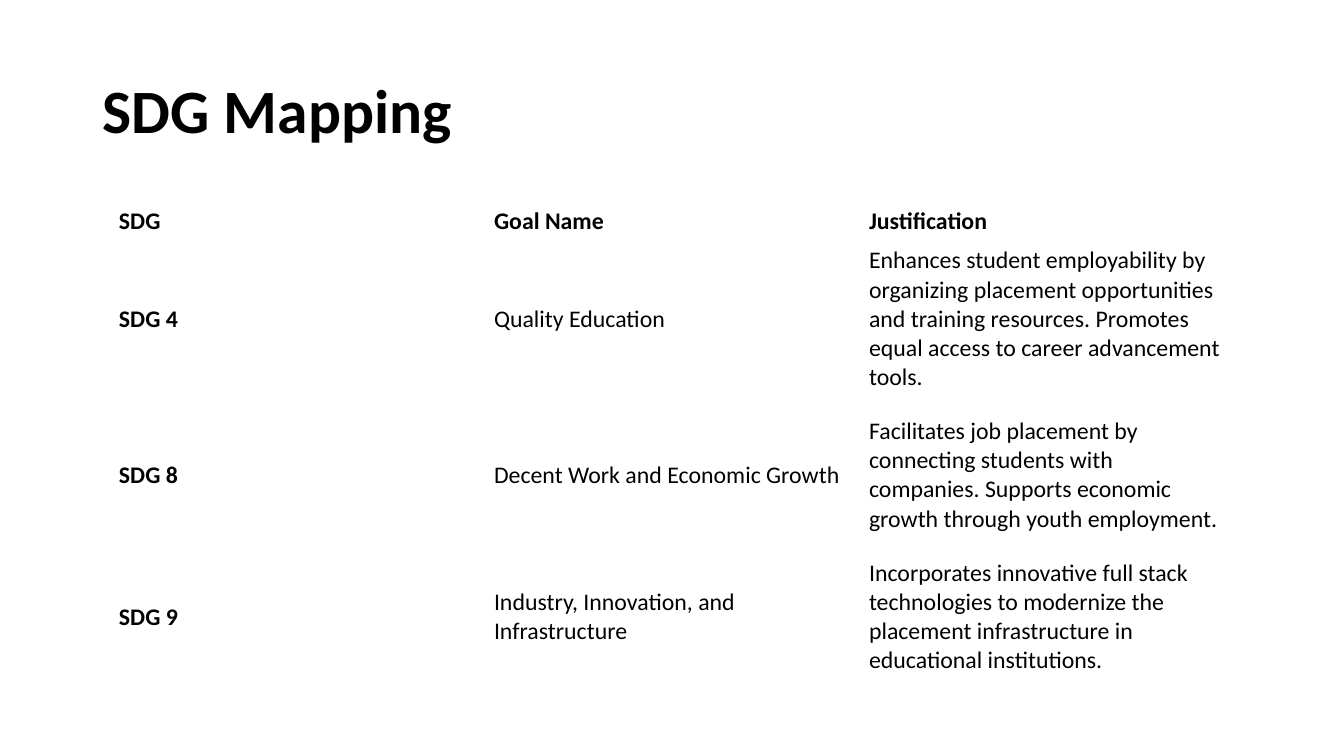
from pptx import Presentation
from pptx.dml.color import RGBColor
from pptx.enum import text
from pptx.util import Inches, Pt

HEADINGS = ["SDG", "Goal Name", "Justification"]
GOALS = [
    ["SDG 4", "Quality Education",
     "Enhances student employability by organizing placement opportunities and "
     "training resources. Promotes equal access to career advancement tools."],
    ["SDG 8", "Decent Work and Economic Growth",
     "Facilitates job placement by connecting students with companies. "
     "Supports economic growth through youth employment."],
    ["SDG 9", "Industry, Innovation, and Infrastructure",
     "Incorporates innovative full stack technologies to modernize the "
     "placement infrastructure in educational institutions."],
]
ROW_HEIGHTS = [0.39, 1.55, 1.55, 1.26]
COLUMN_WIDTH = 3.72


def color(value):
    return RGBColor.from_string(value)


class SlideBuilder:
    font = "Calibri"
    ink = "000000"
    title_size = 44
    table_size = 17

    def __init__(self, deck):
        self.page = deck.slides.add_slide(deck.slide_layouts.get_by_name("Title Only"))

    def add_span(self, para, words, size, bold):
        span = para.add_run()
        span.text = words
        span.font.name = self.font
        span.font.size = Pt(size)
        span.font.bold = bold
        span.font.color.rgb = color(self.ink)

    def add_title(self, words, left, top, width, height):
        box = self.page.shapes.title
        box.left, box.top = Inches(left), Inches(top)
        box.width, box.height = Inches(width), Inches(height)
        frame = box.text_frame
        frame.auto_size = text.MSO_AUTO_SIZE.NONE
        frame.vertical_anchor = text.MSO_ANCHOR.MIDDLE
        para = frame.paragraphs[0]
        para.alignment = text.PP_ALIGN.LEFT
        para.line_spacing = 0.9
        self.add_span(para, words, self.title_size, True)

    def add_table(self, rows, left, top, column_width, row_heights):
        columns = len(rows[0])
        table = self.page.shapes.add_table(
            len(rows), columns, Inches(left), Inches(top),
            Inches(column_width * columns), Inches(sum(row_heights))).table
        table.first_row = table.horz_banding = False
        for column in table.columns:
            column.width = Inches(column_width)
        for row_index, (words_in_row, height) in enumerate(zip(rows, row_heights)):
            table.rows[row_index].height = Inches(height)
            for column_index, words in enumerate(words_in_row):
                cell = table.cell(row_index, column_index)
                cell.fill.background()
                cell.vertical_anchor = text.MSO_ANCHOR.MIDDLE
                bold = row_index == 0 or column_index == 0
                self.add_span(cell.text_frame.paragraphs[0], words, self.table_size, bold)


def main():
    deck = Presentation()
    deck.slide_width, deck.slide_height = Inches(13.33), Inches(7.5)
    builder = SlideBuilder(deck)
    builder.add_title("SDG Mapping", 0.92, 0.4, 11.5, 1.45)
    builder.add_table([HEADINGS, *GOALS], 1.08, 2, COLUMN_WIDTH, ROW_HEIGHTS)
    deck.save("out.pptx")


if __name__ == "__main__":
    main()
